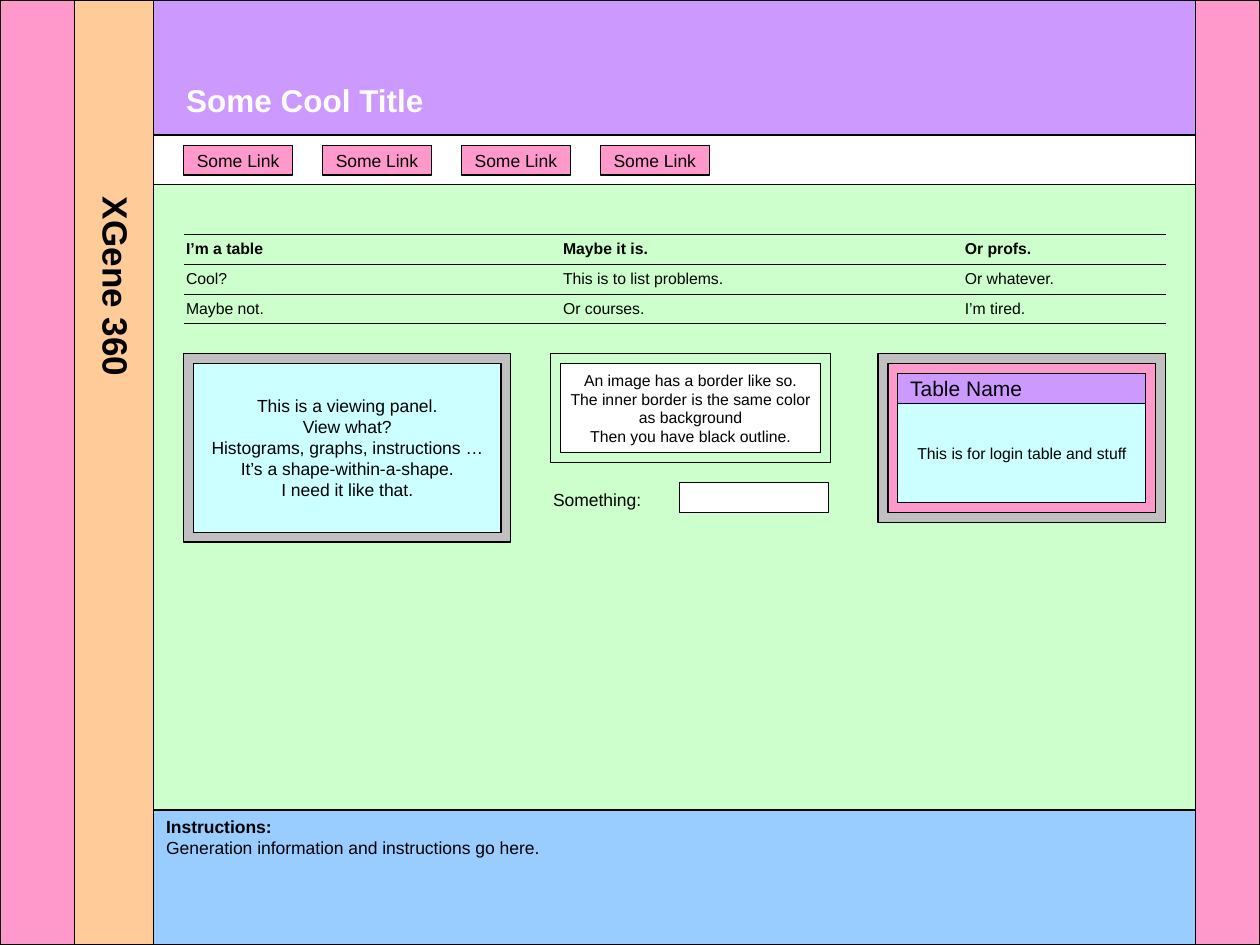
"""Build a page-layout mock-up slide on a two-millimetre grid."""
from dataclasses import dataclass
from typing import Optional

from lxml import etree
from pptx import Presentation
from pptx import util as u
from pptx.dml.color import RGBColor
from pptx.enum import shapes, text
from pptx.oxml.ns import qn

COLS, ROWS = 127, 95.25
BLACK, WHITE, PINK, PURPLE = "000000", "FFFFFF", "FF99CC", "CC99FF"
GREEN, CYAN, GREY = "CCFFCC", "CCFFFF", "C0C0C0"
LEFT, CENTER = text.PP_ALIGN.LEFT, text.PP_ALIGN.CENTER
TOP, MIDDLE = text.MSO_ANCHOR.TOP, text.MSO_ANCHOR.MIDDLE
LINE_WIDTH = u.Pt(0.75)


@dataclass
class Label:
    """Lines of text and their format."""
    lines: tuple
    size: float = 10
    align: int = CENTER
    anchor: int = MIDDLE
    bold_first: bool = False
    color: str = BLACK


@dataclass
class Box:
    """A rectangle in grid columns and rows."""
    x: float
    y: float
    w: float
    h: float
    fill: Optional[str] = None
    label: Optional[Label] = None


LINK = Label(("Some Link",))
VIEW = Label(("This is a viewing panel.", "View what?",
              "Histograms, graphs, instructions …",
              "It’s a shape-within-a-shape.", "I need it like that."))
IMAGE = Label(("An image has a border like so.",
               "The inner border is the same color",
               "as background", "Then you have black outline."), 9)
INSTRUCTIONS = Label(("Instructions:",
                      "Generation information and instructions go here."),
                     10, LEFT, TOP, True)

BOXES = [
    Box(0, 0, COLS, ROWS, PINK),
    Box(7.5, 0, 113, ROWS, "FFCC99"),
    Box(15.5, 0, 105, ROWS, GREEN),
    Box(15.5, 0, 105, 13.6, PURPLE),
    Box(15.5, 81.65, 105, 13.6, "99CCFF", INSTRUCTIONS),
    Box(15.5, 13.6, 105, 5, WHITE),
    Box(18.5, 35.65, 33, 19, GREY),
    Box(19.5, 36.65, 31, 17, CYAN, VIEW),
    Box(88.5, 35.65, 29, 17, GREY),
    Box(89.5, 36.65, 27, 15, PINK),
    Box(90.5, 37.65, 25, 3, PURPLE, Label(("Table Name",), 12, LEFT)),
    Box(90.5, 40.65, 25, 10, CYAN, Label(("This is for login table and stuff",), 9)),
    Box(55.5, 35.65, 28.2, 11),
    Box(56.5, 36.65, 26.2, 9, WHITE, IMAGE),
    Box(68.5, 48.65, 15, 3, WHITE),
    *(Box(18.5 + 14 * i, 14.65, 11, 3, PINK, LINK) for i in range(4)),
]

TITLE = Box(17.5, 7.5, 29, 5.1, label=Label(("Some Cool Title",), 18, LEFT, TOP, True, WHITE))
SIDE_NAME = Box(1.2, 26.3, 21, 5.6, label=Label(("XGene 360",), 20, LEFT, TOP, True))
FIELD_NAME = Box(54.5, 48.65, 15, 3.4, label=Label(("Something:",), 10, LEFT, TOP))

TABLE = Box(18.5, 23.65, 99, 9)
TABLE_COLUMNS = (38, 40.5, 20.5)
TABLE_ROWS = (
    ("I’m a table", "Maybe it is.", "Or profs."),
    ("Cool?", "This is to list problems.", "Or whatever."),
    ("Maybe not.", "Or courses.", "I’m tired."),
)


def rgb(value: str) -> RGBColor:
    """Turn a hex string into a colour."""
    return RGBColor.from_string(value)


def grid(units: float) -> int:
    """Turn grid units into a length."""
    return u.Mm(2 * units)


def place(b: Box) -> tuple:
    """Give left, top, width and height of a box."""
    return tuple(grid(n) for n in (b.x, b.y, b.w, b.h))


def set_all(target, **values) -> None:
    """Set several attributes of one object."""
    for name, value in values.items():
        setattr(target, name, value)


def write(tf, label: Label, wrap: bool = False) -> None:
    """Fill a text frame with a formatted label."""
    set_all(tf, word_wrap=wrap, auto_size=text.MSO_AUTO_SIZE.NONE,
            vertical_anchor=label.anchor)
    for i, line in enumerate(label.lines):
        p = tf.paragraphs[0] if i == 0 else tf.add_paragraph()
        p.alignment = label.align
        r = p.add_run()
        r.text = line
        set_all(r.font, name="Arial", size=u.Pt(label.size),
                bold=label.bold_first and i == 0)
        r.font.color.rgb = rgb(label.color)


def draw_box(s, b: Box) -> None:
    """Draw an outlined rectangle with its label."""
    sp = s.shapes.add_shape(shapes.MSO_SHAPE.RECTANGLE, *place(b))
    sp.shadow.inherit = False
    sp.line.color.rgb = rgb(BLACK)
    sp.line.width = LINE_WIDTH
    if b.fill:
        sp.fill.solid()
        sp.fill.fore_color.rgb = rgb(b.fill)
    else:
        sp.fill.background()
    if b.label:
        write(sp.text_frame, b.label)


def draw_text(s, b: Box, rotation: float = 0) -> None:
    """Draw a text box, turned if asked."""
    sp = s.shapes.add_textbox(*place(b))
    sp.rotation = rotation
    write(sp.text_frame, b.label, True)


def draw_title(s, b: Box) -> None:
    """Move the title placeholder to its band, above the boxes."""
    sp = s.shapes.title
    set_all(sp, **dict(zip(("left", "top", "width", "height"), place(b))))
    write(sp.text_frame, b.label, True)
    s.shapes._spTree.append(sp._element)


def rule_cell(cell) -> None:
    """Give a cell black rules above and below and none at the sides."""
    pr = cell._tc.get_or_add_tcPr()
    for i, side in enumerate(("lnL", "lnR", "lnT", "lnB")):
        ln = etree.Element(qn(f"a:{side}"), w=str(int(LINE_WIDTH)))
        if side in ("lnT", "lnB"):
            fill = etree.SubElement(ln, qn("a:solidFill"))
            etree.SubElement(fill, qn("a:srgbClr"), val=BLACK)
        else:
            etree.SubElement(ln, qn("a:noFill"))
        pr.insert(i, ln)


def draw_table(s, b: Box) -> None:
    """Draw the ruled table."""
    table = s.shapes.add_table(len(TABLE_ROWS), len(TABLE_COLUMNS), *place(b)).table
    set_all(table, first_row=False, horz_banding=False)
    for column, width in zip(table.columns, TABLE_COLUMNS):
        column.width = grid(width)
    for i, values in enumerate(TABLE_ROWS):
        for j, value in enumerate(values):
            cell = table.cell(i, j)
            cell.fill.background()
            rule_cell(cell)
            write(cell.text_frame, Label((value,), 9, LEFT, MIDDLE, i == 0), True)
            set_all(cell, vertical_anchor=MIDDLE, margin_left=u.Inches(0.02),
                    margin_right=0, margin_top=0, margin_bottom=0)


def main() -> None:
    """Build and save the slide."""
    prs = Presentation()
    set_all(prs, slide_width=grid(COLS), slide_height=grid(ROWS))
    s = prs.slides.add_slide(prs.slide_layouts[5])
    for b in BOXES:
        draw_box(s, b)
    draw_title(s, TITLE)
    draw_text(s, SIDE_NAME, 90)
    draw_text(s, FIELD_NAME)
    draw_table(s, TABLE)
    prs.save("out.pptx")


if __name__ == "__main__":
    main()
